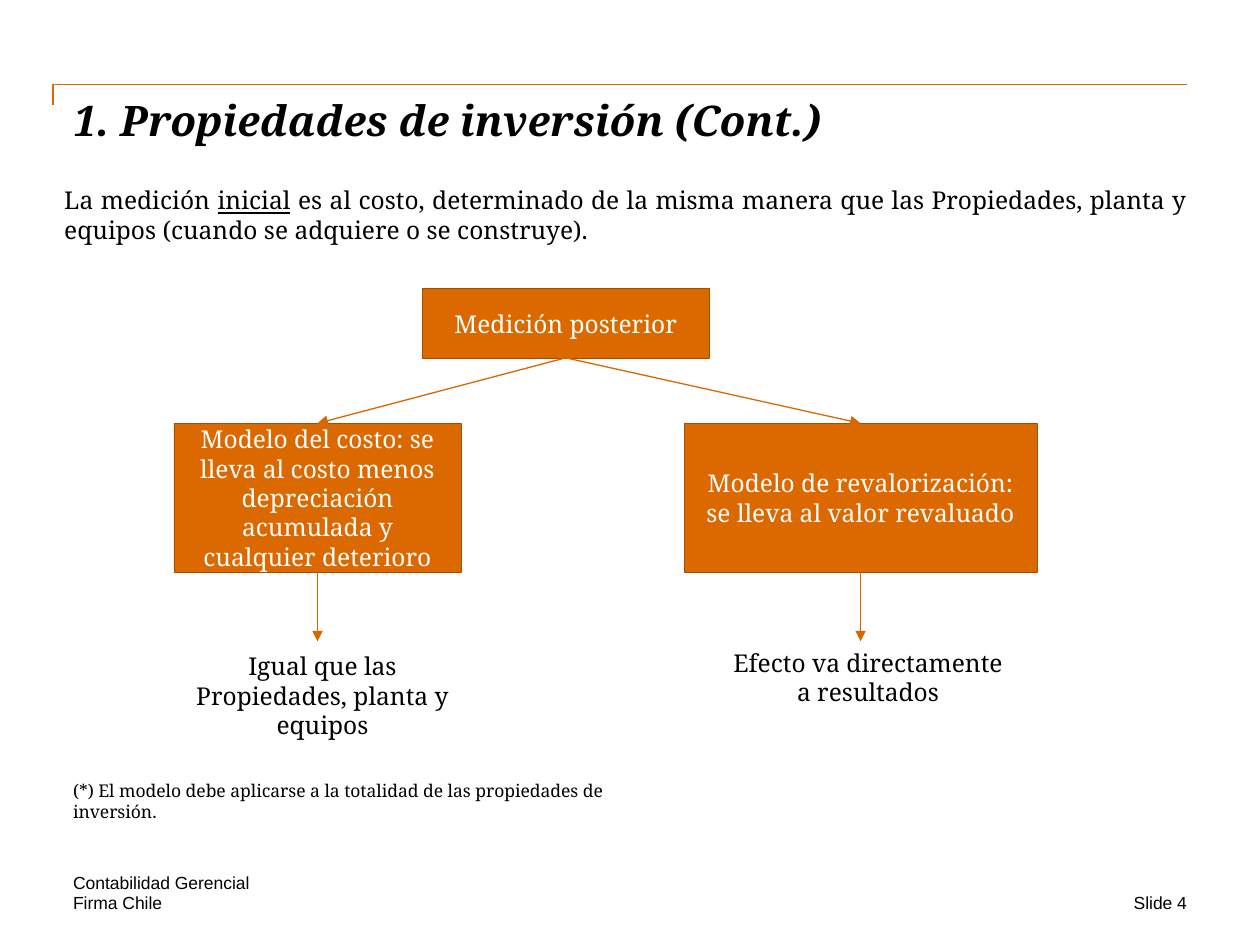
from lxml import etree
from pptx import Presentation
from pptx.dml.color import RGBColor
from pptx.enum import shapes, text
from pptx.oxml.ns import qn
from pptx.util import Inches, Pt

ORANGE = RGBColor(0xDC, 0x69, 0x00)
EDGE = RGBColor(0xA3, 0x4E, 0x00)
ARROW = RGBColor(0xD7, 0x67, 0x00)
BLACK = RGBColor(0, 0, 0)
WHITE = RGBColor(0xFF, 0xFF, 0xFF)
SERIF, SANS = "Noto Serif", "Arial"
ALIGN, ANCHOR = text.PP_ALIGN, text.MSO_ANCHOR


def write(sp, *runs, size=14, font=SERIF, color=BLACK, bold=False, italic=False,
          underlined=(), align=ALIGN.LEFT, anchor=ANCHOR.TOP, after=0):
    tf = sp.text_frame
    tf.word_wrap = True
    tf.vertical_anchor = anchor
    p = tf.paragraphs[0]
    p.alignment = align
    p.space_after = Pt(after)
    for content in runs:
        r = p.add_run()
        r.text = content
        r.font.name = font
        r.font.size = Pt(size)
        r.font.color.rgb = color
        r.font.bold = bold
        r.font.italic = italic
        r.font.underline = content in underlined


def add_text(s, box, *runs, **fmt):
    sp = s.shapes.add_textbox(*map(Inches, box))
    tf = sp.text_frame
    tf.margin_left = tf.margin_right = tf.margin_top = tf.margin_bottom = 0
    write(sp, *runs, **fmt)


def add_box(s, box, label):
    sp = s.shapes.add_shape(shapes.MSO_SHAPE.RECTANGLE, *map(Inches, box))
    sp.shadow.inherit = False
    sp.fill.solid()
    sp.fill.fore_color.rgb = ORANGE
    sp.line.color.rgb = EDGE
    sp.line.width = Pt(0.25)
    write(sp, label, color=WHITE, align=ALIGN.CENTER, anchor=ANCHOR.MIDDLE)


def add_arrow(s, start, end):
    cx = s.shapes.add_connector(shapes.MSO_CONNECTOR.STRAIGHT,
                                *map(Inches, start + end))
    cx.line.color.rgb = ARROW
    cx.line.width = Pt(0.75)
    etree.SubElement(cx.line._get_or_add_ln(), qn("a:tailEnd"), type="triangle")
    etree.SubElement(cx._element.spPr, qn("a:effectLst"))


def add_title_rule(s):
    fb = s.shapes.build_freeform(Inches(0.42), Inches(0.83))
    fb.add_line_segments([(Inches(0.42), Inches(0.67)),
                          (Inches(9.42), Inches(0.67))], close=False)
    sp = fb.convert_to_shape()
    sp.shadow.inherit = False
    sp.fill.background()
    sp.line.color.rgb = ORANGE
    sp.line.width = Pt(1)


def add_branch(s, root, left, width, label, result, result_box):
    top, height = 3.36, 1.18
    center, bottom = left + width / 2, top + height
    add_box(s, (left, top, width, height), label)
    add_arrow(s, root, (center, top))
    add_arrow(s, (center, bottom), (center, bottom + 0.55))
    add_text(s, result_box, result, align=ALIGN.CENTER, after=9)


def main():
    prs = Presentation()
    prs.slide_width, prs.slide_height = Inches(10), Inches(7.5)
    s = prs.slides.add_slide(prs.slide_layouts[6])

    add_title_rule(s)
    add_text(s, (0.58, 0.75, 8.83, 1), "1. Propiedades de inversión (Cont.)",
             size=24, bold=True, italic=True)
    add_text(s, (0.51, 1.47, 8.91, 0.5), "La medición ", "inicial",
             " es al costo, determinado de la misma manera que las Propiedades, "
             "planta y equipos (cuando se adquiere o se construye).",
             underlined=("inicial",), align=ALIGN.JUSTIFY)

    add_box(s, (3.35, 2.29, 2.28, 0.55), "Medición posterior")
    root = (4.49, 2.84)
    add_branch(s, root, 1.38, 2.28,
               "Modelo del costo: se lleva al costo menos depreciación "
               "acumulada y cualquier deterioro",
               "Igual que las Propiedades, planta y equipos",
               (1.46, 5.17, 2.2, 0.79))
    add_branch(s, root, 5.43, 2.8,
               "Modelo de revalorización: se lleva al valor revaluado",
               "Efecto va directamente a resultados",
               (5.79, 5.14, 2.2, 0.63))

    add_text(s, (0.58, 6.19, 4.85, 0.73),
             "(*) El modelo debe aplicarse a la totalidad de las propiedades "
             "de inversión.", size=10, after=9)
    add_text(s, (0.58, 6.92, 5.75, 0.17), "Contabilidad Gerencial",
             size=10, font=SANS, anchor=ANCHOR.BOTTOM)
    add_text(s, (0.58, 7.08, 2.83, 0.17), "Firma Chile", size=10, font=SANS)
    add_text(s, (7.75, 7.08, 1.67, 0.17), "Slide 4", size=10, font=SANS,
             align=ALIGN.RIGHT)
    prs.save("out.pptx")


if __name__ == "__main__":
    main()
